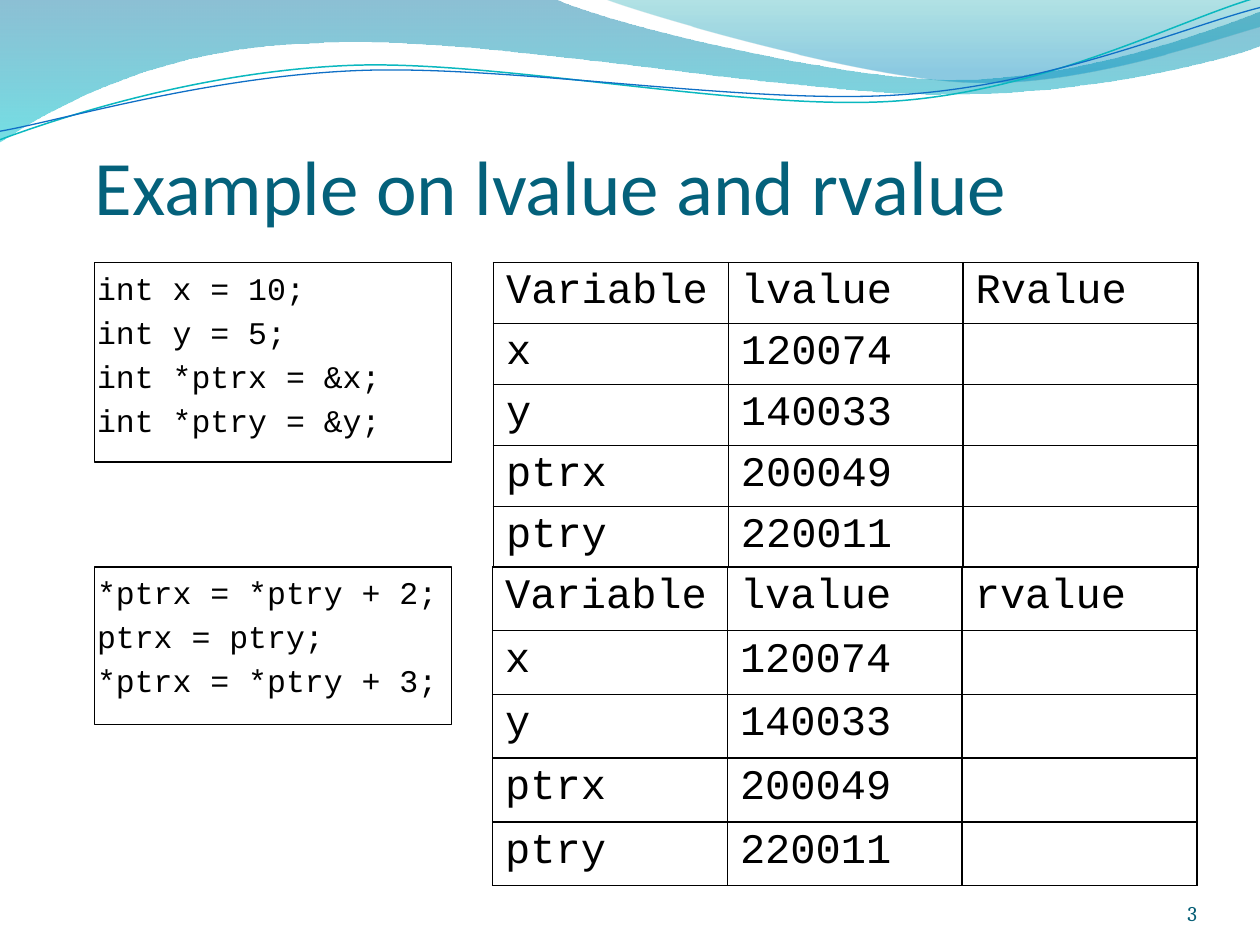
from lxml.etree import SubElement
from pptx import Presentation
from pptx.dml.color import RGBColor
from pptx.enum.shapes import MSO_SHAPE
from pptx.enum.text import MSO_ANCHOR, PP_ALIGN
from pptx.oxml import parse_xml
from pptx.oxml.ns import nsdecls, qn
from pptx.util import Pt

BLACK = RGBColor(0x00, 0x00, 0x00)
TITLE_TEAL = RGBColor(0x04, 0x61, 0x7B)
NUMBER_TEAL = RGBColor(0x04, 0x5D, 0x75)
DEEP_BLUE = RGBColor(0x00, 0x74, 0xA1)
CYAN = RGBColor(0x00, 0xC6, 0xCF)
GREEN_TEAL = RGBColor(0x00, 0xA1, 0xA9)
SKY_BLUE = RGBColor(0x00, 0x8B, 0xBF)
LINE_TEAL = RGBColor(0x0A, 0xB8, 0xBF)
LINE_BLUE = RGBColor(0x0F, 0x6F, 0xC6)

CODE_FONT = "Courier New"
ADDRESSES = [("x", "120074"), ("y", "140033"), ("ptrx", "200049"), ("ptry", "220011")]

BANDS = [
    ([(0, 0), (316.8, -0.7),
      (342.7, 12.2, 478.1, 45.4, 545.8, 45.4), (614.2, 45.4, 689.8, 18.7, 720, 6.5),
      (720.7, 25.9),
      (707.8, 31.7, 626.4, 54.7, 537.1, 54), (447.8, 54, 275, 20.2, 185, 24.5),
      (92.9, 25.9, 33.1, 59.8, -0.7, 81.4), (0, 0)],
     [(0, DEEP_BLUE, 45), (1, CYAN, 55)]),
    ([(344.9, -0.7),
      (366.5, 7.9, 491, 44.6, 553.7, 46.8), (616.3, 49.7, 691.9, 23, 720, 15.1),
      (720, 0), (344.9, -0.7)],
     [(0, GREEN_TEAL, 30), (0.8, SKY_BLUE, 45)]),
]
RIPPLES = [
    ([(-1.4, 62.9), (33.8, 51.7, 114.1, 29.4, 199.8, 29.9),
      (284.9, 30.3, 425.8, 67.3, 512.4, 64.9), (599, 62.4, 676.4, 25.7, 720.2, 15.5)],
     LINE_TEAL, 0.85),
    ([(-1.1, 58), (32.9, 53.8, 118.3, 32.5, 204.1, 33),
      (290.6, 33.4, 428.9, 63.8, 515.5, 61.4), (601.3, 59.6, 678.4, 30.1, 721.4, 21.3)],
     LINE_BLUE, 0.75),
]


def set_all(target, **values):
    for name, value in values.items():
        setattr(target, name, value)


def write(para, text, font, size, color):
    span = para.add_run()
    span.text = text
    set_all(span.font, name=font, size=Pt(size))
    span.font.color.rgb = color


def set_frame(frame, left, top, right, bottom, anchor):
    set_all(frame, word_wrap=True, vertical_anchor=anchor,
            margin_left=Pt(left), margin_top=Pt(top),
            margin_right=Pt(right), margin_bottom=Pt(bottom))


def add_wave(shapes, steps, closed):
    points = [(Pt(x), Pt(y)) for step in steps for x, y in zip(step[::2], step[1::2])]
    builder = shapes.build_freeform(*points[0])
    builder.add_line_segments(points[1:], close=closed)
    wave = builder.convert_to_shape()
    wave.shadow.inherit = False
    segments = iter(list(wave._element.iter(qn("a:lnTo"))))
    for step in steps[1:]:
        segment = next(segments)
        if len(step) == 6:
            curve = segment.makeelement(qn("a:cubicBezTo"))
            segment.addprevious(curve)
            for part in (segment, next(segments), next(segments)):
                curve.append(part[0])
                part.getparent().remove(part)
    return wave


def add_waves(page):
    for steps, stops in BANDS:
        band = add_wave(page.shapes, steps, True)
        band.line.fill.background()
        band.fill.gradient()
        band.fill.gradient_angle = 270
        for stop, (position, color, _) in zip(band.fill.gradient_stops, stops):
            stop.position = position
            stop.color.rgb = color
        colors = band._element.spPr.iter(qn("a:srgbClr"))
        for element, (_, _, opacity) in zip(list(colors), stops):
            SubElement(element, qn("a:alpha"), val=str(opacity * 1000))
    group = page.shapes.add_group_shape()
    for steps, color, width in RIPPLES:
        ripple = add_wave(group.shapes, steps, False)
        ripple.rotation = 357.3
        ripple.fill.background()
        ripple.line.color.rgb = color
        ripple.line.width = Pt(width)


def add_title(page, left, top, width, height, text):
    title = page.shapes.title
    page.shapes._spTree.append(title._element)
    set_all(title, left=Pt(left), top=Pt(top), width=Pt(width), height=Pt(height))
    set_frame(title.text_frame, 0, 3.6, 0, 0, MSO_ANCHOR.BOTTOM)
    para = title.text_frame.paragraphs[0]
    para.alignment = PP_ALIGN.LEFT
    write(para, text, "Calibri", 44, TITLE_TEAL)


def add_code(page, left, top, width, height, lines):
    box = page.shapes.add_shape(MSO_SHAPE.RECTANGLE, Pt(left), Pt(top), Pt(width), Pt(height))
    box.shadow.inherit = False
    box.fill.background()
    box.line.color.rgb = BLACK
    box.line.width = Pt(0.75)
    frame = box.text_frame
    set_frame(frame, 1.44, 3.6, 1.44, 3.6, MSO_ANCHOR.TOP)
    for index, line in enumerate(lines):
        para = frame.add_paragraph() if index else frame.paragraphs[0]
        set_all(para, alignment=PP_ALIGN.LEFT, space_before=Pt(3.6))
        write(para, line, CODE_FONT, 18, BLACK)


def add_borders(cell):
    properties = cell._tc.get_or_add_tcPr()
    for index, side in enumerate(("lnL", "lnR", "lnT", "lnB")):
        properties.insert(index, parse_xml(
            f'<a:{side} {nsdecls("a")} w="{Pt(1)}"><a:solidFill>'
            f'<a:srgbClr val="{BLACK}"/></a:solidFill></a:{side}>'))


def add_values(page, left, top, width, height, heading):
    rows = [("Variable", "lvalue", heading)] + [(*pair, "") for pair in ADDRESSES]
    table = page.shapes.add_table(
        len(rows), 3, Pt(left), Pt(top), Pt(width), Pt(height)).table
    set_all(table, first_row=False, horz_banding=False)
    for row, texts in zip(table.rows, rows):
        for cell, text in zip(row.cells, texts):
            cell.fill.background()
            cell.margin_bottom = Pt(4)
            add_borders(cell)
            if text:
                write(cell.text_frame.paragraphs[0], text, CODE_FONT, 24, BLACK)


def add_number(page, left, top, width, height, text):
    box = page.shapes.add_textbox(Pt(left), Pt(top), Pt(width), Pt(height))
    set_frame(box.text_frame, 0, 0, 0, 0, MSO_ANCHOR.BOTTOM)
    para = box.text_frame.paragraphs[0]
    para.alignment = PP_ALIGN.RIGHT
    write(para, text, "Cambria", 12, NUMBER_TEAL)


def main():
    deck = Presentation()
    set_all(deck, slide_width=Pt(720), slide_height=Pt(540))
    page = deck.slides.add_slide(deck.slide_layouts[5])
    add_waves(page)
    add_title(page, 54, 40.5, 594, 91.5, "Example on lvalue and rvalue")
    add_code(page, 54, 150, 204, 114,
             ["int x = 10;", "int y = 5;", "int *ptrx = &x;", "int *ptry = &y;"])
    add_values(page, 282, 150, 402.5, 146.3, "Rvalue")
    add_number(page, 624, 500.5, 60, 28.75, "3")
    add_code(page, 54, 324, 204, 90,
             ["*ptrx = *ptry + 2;", "ptrx = ptry;", "*ptrx = *ptry + 3;"])
    add_values(page, 281.5, 324, 402.5, 146.3, "rvalue")
    deck.save("out.pptx")


if __name__ == "__main__":
    main()
